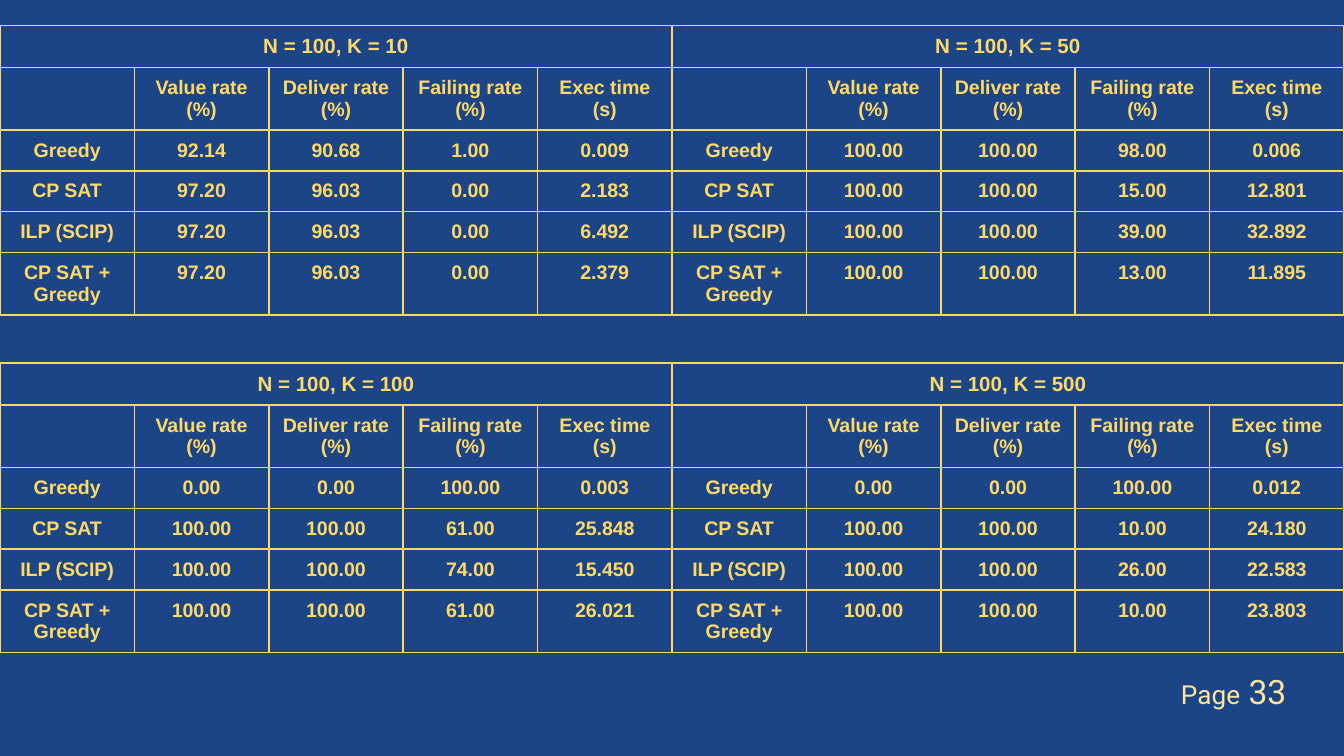
from dataclasses import dataclass

from lxml import etree
from pptx import Presentation
from pptx.dml.color import RGBColor
from pptx.enum import text
from pptx.oxml import ns
from pptx.util import Cm, Pt


@dataclass(frozen=True)
class Theme:
    back: str = "1C4587"
    gold: str = "FFD966"
    pale: str = "FFE599"
    font: str = "Arial"
    foot: str = "Roboto"
    head: float = 11
    body: float = 10.5
    page: float = 14
    num: float = 18
    rule: float = 1


THEME = Theme()
WIDE, HIGH = Cm(25.4), Cm(14.29)
PAD = Cm(0.18)
ROWS = [0.79, 1.17, 0.77, 0.77, 0.77, 1.17]
HEADS = ["", "Value rate (%)", "Deliver rate (%)", "Failing rate (%)", "Exec time (s)"]
NAMES = ["Greedy", "CP SAT", "ILP (SCIP)", "CP SAT + Greedy"]

# Each table: top in cm, then two cases of title and result rows
TABLES = [
    (0.48, [
        ("N = 100, K = 10", ["92.14 90.68 1.00 0.009", "97.20 96.03 0.00 2.183",
                             "97.20 96.03 0.00 6.492", "97.20 96.03 0.00 2.379"]),
        ("N = 100, K = 50", ["100.00 100.00 98.00 0.006", "100.00 100.00 15.00 12.801",
                             "100.00 100.00 39.00 32.892", "100.00 100.00 13.00 11.895"]),
    ]),
    (6.86, [
        ("N = 100, K = 100", ["0.00 0.00 100.00 0.003", "100.00 100.00 61.00 25.848",
                              "100.00 100.00 74.00 15.450", "100.00 100.00 61.00 26.021"]),
        ("N = 100, K = 500", ["0.00 0.00 100.00 0.012", "100.00 100.00 10.00 24.180",
                              "100.00 100.00 26.00 22.583", "100.00 100.00 10.00 23.803"]),
    ]),
]


def add_run(para, words, size, font, color, bold=False):
    run = para.add_run()
    run.text = words
    run.font.size = Pt(size)
    run.font.name = font
    run.font.bold = bold
    run.font.color.rgb = RGBColor.from_string(color)


def add_rules(cell):
    props = cell._tc.get_or_add_tcPr()
    for side in ("lnL", "lnR", "lnT", "lnB"):
        line = etree.SubElement(props, ns.qn("a:" + side), w=str(Pt(THEME.rule)))
        fill = etree.SubElement(line, ns.qn("a:solidFill"))
        etree.SubElement(fill, ns.qn("a:srgbClr"), val=THEME.gold)


def style_cell(cell):
    add_rules(cell)
    cell.fill.background()
    cell.margin_left = cell.margin_right = PAD
    cell.margin_top = cell.margin_bottom = PAD


def fill_cell(cell, words, size):
    para = cell.text_frame.paragraphs[0]
    para.alignment = text.PP_ALIGN.CENTER
    if words:
        add_run(para, words, size, THEME.font, THEME.gold, True)


def add_grid(slide, top, cases):
    span = len(HEADS)
    cols = span * len(cases)
    frame = slide.shapes.add_table(len(ROWS), cols, 0, Cm(top), WIDE, Cm(sum(ROWS)))
    grid = frame.table
    grid.first_row = grid.horz_banding = False
    for row, size in zip(grid.rows, ROWS):
        row.height = Cm(size)
    for cell in grid.iter_cells():
        style_cell(cell)

    for part, (title, data) in enumerate(cases):
        left = part * span
        # Title across the case
        grid.cell(0, left).merge(grid.cell(0, left + span - 1))
        fill_cell(grid.cell(0, left), title, THEME.head)
        # Column heads and results
        lines = [HEADS] + [[name, *vals.split()] for name, vals in zip(NAMES, data)]
        for row, line in enumerate(lines, 1):
            for col, words in enumerate(line, left):
                fill_cell(grid.cell(row, col), words, THEME.body)


def add_page(slide):
    box = slide.shapes.add_textbox(Cm(22.07), Cm(12.55), Cm(2.77), Cm(1.04))
    box.text_frame.word_wrap = True
    para = box.text_frame.paragraphs[0]
    add_run(para, "Page", THEME.page, THEME.foot, THEME.pale)
    add_run(para, " 33", THEME.num, THEME.foot, THEME.pale)


def main():
    deck = Presentation()
    deck.slide_width, deck.slide_height = WIDE, HIGH
    slide = deck.slides.add_slide(deck.slide_layouts[6])

    # Background
    fill = slide.background.fill
    fill.solid()
    fill.fore_color.rgb = RGBColor.from_string(THEME.back)

    # Result tables
    for top, cases in TABLES:
        add_grid(slide, top, cases)

    # Page number
    add_page(slide)
    deck.save("out.pptx")


if __name__ == "__main__":
    main()
